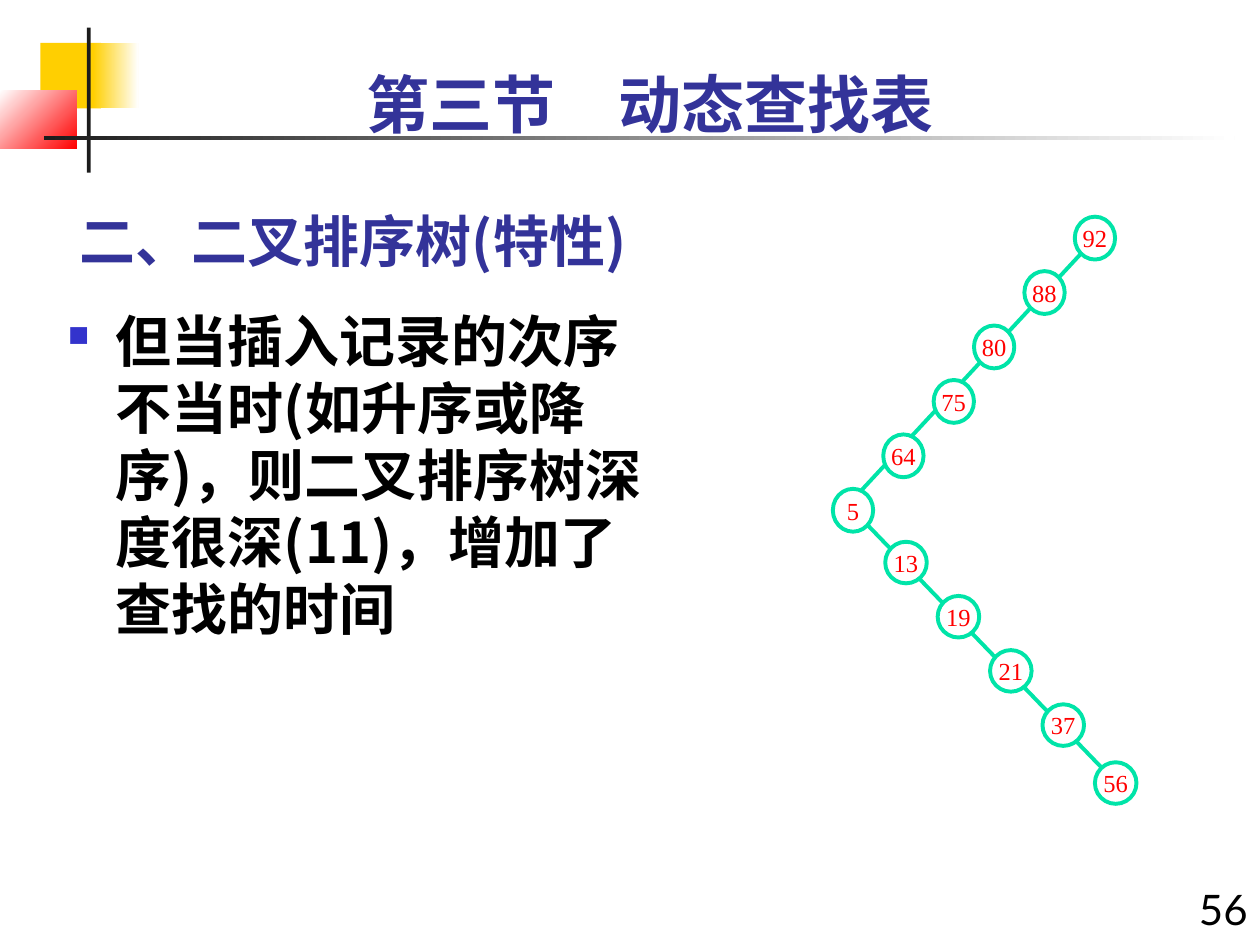
from dataclasses import dataclass

from lxml.etree import SubElement
from pptx import Presentation
from pptx.dml.color import RGBColor
from pptx.enum.shapes import MSO_CONNECTOR, MSO_SHAPE
from pptx.enum.text import MSO_ANCHOR, PP_ALIGN
from pptx.oxml.ns import qn
from pptx.util import Inches, Pt


@dataclass(frozen=True)
class Theme:
    ink: str = "000000"
    heading: str = "333399"
    bullet: str = "3333CC"
    yellow: str = "FFCF01"
    red: str = "FF0000"
    dark: str = "1C1C1C"
    white: str = "FFFFFF"
    tree: str = "00E4A8"
    cjk: str = "Noto Sans CJK SC"
    sans: str = "Lato"
    serif: str = "Times New Roman"
    title_size: int = 36
    body_size: int = 32
    number_size: int = 24
    node_size: int = 14
    bullet_percent: int = 52
    tree_line: float = 2.25


T = Theme()


def rgb(value):
    return RGBColor.from_string(value)


def place(sp, left, top, width, height):
    sp.left, sp.top = Inches(left), Inches(top)
    sp.width, sp.height = Inches(width), Inches(height)


def add_bullet(p, char, indent):
    pPr = p._p.get_or_add_pPr()
    pPr.set("marL", str(Inches(indent)))
    pPr.set("indent", str(-Inches(indent)))
    buClr = SubElement(pPr, qn("a:buClr"))
    SubElement(buClr, qn("a:srgbClr"), val=T.bullet)
    SubElement(pPr, qn("a:buSzPct"), val=str(T.bullet_percent * 1000))
    SubElement(pPr, qn("a:buChar"), char=char)


def write(sp, text, *, size, color, font=T.cjk, bold=False, align=PP_ALIGN.LEFT,
          anchor=MSO_ANCHOR.TOP, wrap=True, bullet=None):
    tf = sp.text_frame
    tf.word_wrap = wrap
    tf.vertical_anchor = anchor
    tf.margin_left = tf.margin_right = Inches(0.1)
    tf.margin_top = tf.margin_bottom = Inches(0.05)
    p = tf.paragraphs[0]
    p.alignment = align
    p.space_before = Pt(0)
    if bullet:
        add_bullet(p, bullet, 0.38)
    r = p.add_run()
    r.text = text
    r.font.name = font
    r.font.size = Pt(size)
    r.font.bold = bold
    r.font.color.rgb = rgb(color)
    SubElement(r._r.get_or_add_rPr(), qn("a:ea"), typeface=T.cjk)


def add_text(s, text, box, **fmt):
    sp = s.shapes.add_textbox(*map(Inches, box))
    write(sp, text, **fmt)


def add_block(s, box, start, end=None, angle=0):
    sp = s.shapes.add_shape(MSO_SHAPE.RECTANGLE, *map(Inches, box))
    sp.shadow.inherit = False
    sp.line.fill.background()
    if end is None:
        sp.fill.solid()
        sp.fill.fore_color.rgb = rgb(start)
        return
    sp.fill.gradient()
    sp.fill.gradient_angle = angle
    for stop, position, color in zip(sp.fill.gradient_stops, (0, 1), (start, end)):
        stop.position = position
        stop.color.rgb = rgb(color)


def add_branch(s, x1, y1, x2, y2):
    line = s.shapes.add_connector(MSO_CONNECTOR.STRAIGHT,
                                  *map(Inches, (x1, y1, x2, y2)))
    line.line.color.rgb = rgb(T.tree)
    line.line.width = Pt(T.tree_line)
    SubElement(line._element.spPr, qn("a:effectLst"))


def add_node(s, key, left, top, width, height):
    sp = s.shapes.add_shape(MSO_SHAPE.OVAL, *map(Inches, (left, top, width, height)))
    sp.shadow.inherit = False
    sp.fill.solid()
    sp.fill.fore_color.rgb = rgb(T.white)
    sp.line.color.rgb = rgb(T.tree)
    sp.line.width = Pt(T.tree_line)
    write(sp, str(key), size=T.node_size, color=T.red, font=T.serif,
          align=PP_ALIGN.CENTER, anchor=MSO_ANCHOR.MIDDLE, wrap=False)


def add_decoration(s):
    add_block(s, (0.32, 0.34, 0.48, 0.52), T.yellow)
    add_block(s, (0.74, 0.34, 0.36, 0.52), T.yellow, T.white)
    add_block(s, (0, 0.72, 0.61, 0.46), T.white, T.red, angle=315)
    add_block(s, (0.69, 0.22, 0.03, 1.15), T.dark)
    add_block(s, (0.35, 1.08, 9.45, 0.03), T.dark, T.white)


def add_tree(s):
    root_x, root_y = 6.61, 3.88
    step_x, step_up, step_down = (8.69 - root_x) / 5, (root_y - 1.72) / 5, 0.43
    add_branch(s, 8.61, 1.98, 6.69, 4.05)
    add_branch(s, 6.85, 4.13, 8.76, 6.11)
    rising = zip((5, 64, 75, 80, 88, 92), (root_x, 7.01, 7.41, 7.73, 8.13, 8.53))
    for i, (key, left) in enumerate(rising):
        add_node(s, key, left, root_y - step_up * i, 0.32, 0.34)
    for i, key in enumerate((13, 19, 21, 37, 56), 1):
        drop = 0.03 if key == 56 else 0
        add_node(s, key, root_x + step_x * i, 3.87 + step_down * i + drop, 0.33, 0.33)


def main():
    prs = Presentation()
    prs.slide_width, prs.slide_height = Inches(10), Inches(7.5)
    s = prs.slides.add_slide(prs.slide_layouts[5])
    add_decoration(s)
    place(s.shapes.title, 0.53, 1.47, 6.25, 0.75)
    write(s.shapes.title, "二、二叉排序树(特性)", size=T.body_size, color=T.heading,
          bold=True, anchor=MSO_ANCHOR.BOTTOM)
    add_text(s, "56", (9.33, 6.96, 0.67, 0.59), size=T.number_size, color=T.ink,
             font=T.sans, align=PP_ALIGN.RIGHT)
    add_text(s, "第三节　动态查找表", (0.53, 0.47, 9.25, 0.7), size=T.title_size,
             color=T.heading, font=T.sans, bold=True, align=PP_ALIGN.CENTER)
    add_text(s, "但当插入记录的次序不当时(如升序或降序)，则二叉排序树深度很深(11)，增加了查找的时间",
             (0.44, 2.38, 4.92, 4.42), size=T.body_size, color=T.ink, bold=True,
             bullet="■")
    add_tree(s)
    prs.save("out.pptx")


if __name__ == "__main__":
    main()
